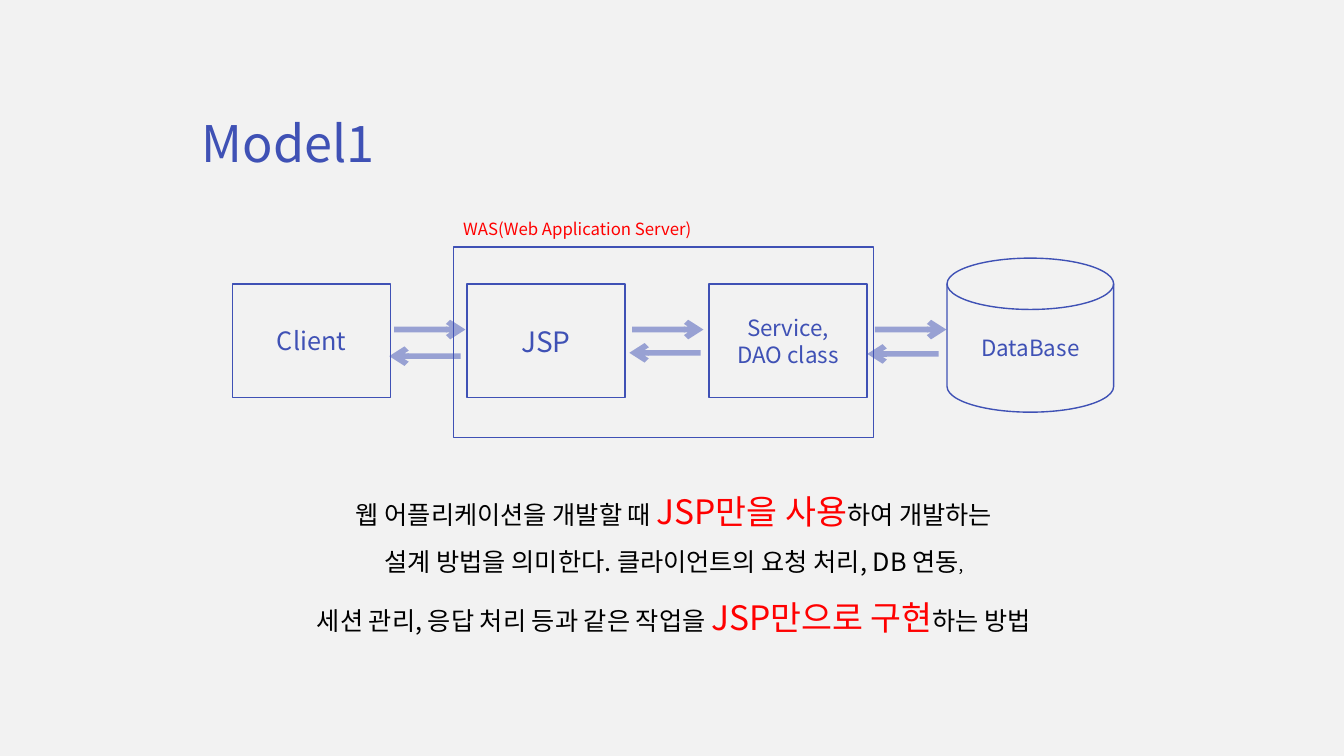
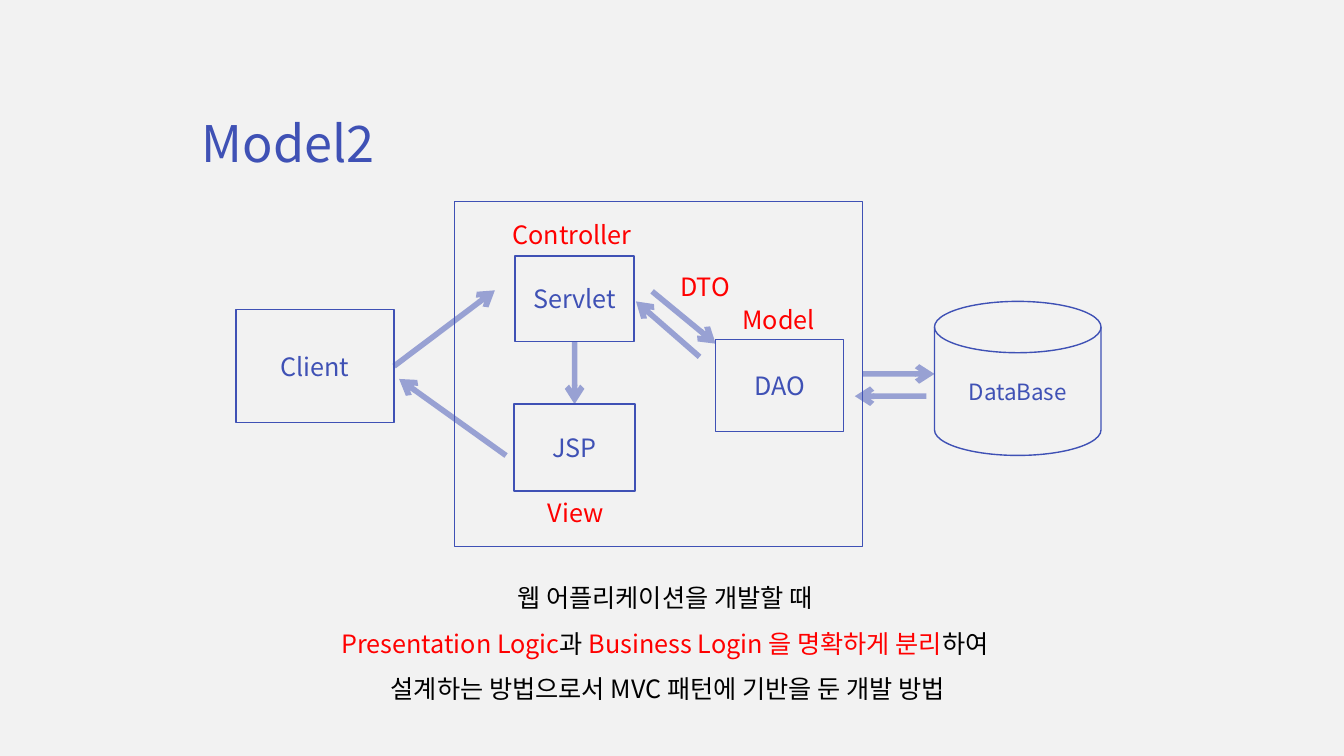
from lxml.etree import SubElement
from pptx import Presentation
from pptx.dml.color import RGBColor
from pptx.enum.shapes import MSO_CONNECTOR as Link, MSO_SHAPE as Kind
from pptx.enum.text import MSO_ANCHOR as Anchor, MSO_AUTO_SIZE as Fit, PP_ALIGN as Align
from pptx.oxml import parse_xml
from pptx.oxml.ns import nsdecls, qn
from pptx.util import Pt

FACE = "Noto Sans CJK KR"
BLUE, RED, BLACK, GRAY = "3F51B5", "FF0000", "000000", "F2F2F2"


def tint(color, code):
    color.rgb = RGBColor.from_string(code)


def style(font, size, code):
    font.name = FACE
    font.size = Pt(size)
    tint(font.color, code)


def write(frame, lines, align=Align.CENTER):
    for i, runs in enumerate(lines):
        para = frame.paragraphs[0] if i == 0 else frame.add_paragraph()
        para.alignment = align
        same = len({run[1:] for run in runs}) == 1
        if same:
            style(para.font, *runs[0][1:])
        for text, size, code in runs:
            run = para.add_run()
            run.text = text
            if not same:
                style(run.font, size, code)


def place(shape, x, y, w, h):
    shape.left, shape.top, shape.width, shape.height = map(Pt, (x, y, w, h))


def title(slide, text):
    head = slide.shapes.title
    place(head, 136.8, 76.3, 400, 51)
    head.text_frame.auto_size = Fit.NONE
    head.text_frame.vertical_anchor = Anchor.MIDDLE
    write(head.text_frame, [[(text, 36, BLUE)]], Align.LEFT)


def body(slide, x, y, w, h, lines):
    box = slide.placeholders[1]
    place(box, x, y, w, h)
    frame = box.text_frame
    frame.auto_size = Fit.NONE
    frame.vertical_anchor = Anchor.TOP
    write(frame, lines)
    for para in frame.paragraphs:
        para.line_spacing = 1.5
        para.space_before = Pt(0)
    for props in box.element.iter(qn("a:pPr")):
        props.set("marL", "0")
        props.set("indent", "0")
        none = parse_xml(f"<a:buNone {nsdecls('a')}/>")
        props.insert_element_before(none, "a:tabLst", "a:defRPr", "a:extLst")


class Chart:
    def __init__(self, slide, x, y):
        self.shapes, self.x, self.y = slide.shapes, x, y

    def node(self, x, y, w, h, text="", size=18, kind=Kind.RECTANGLE):
        box = self.shapes.add_shape(kind, 0, 0, 0, 0)
        place(box, self.x + x, self.y + y, w, h)
        box.shadow.inherit = False
        box.fill.background()
        box.line.width = Pt(1)
        tint(box.line.color, BLUE)
        frame = box.text_frame
        frame.word_wrap = True
        frame.margin_left = frame.margin_right = Pt(0)
        frame.vertical_anchor = Anchor.MIDDLE
        if text:
            write(frame, [[(line, size, BLUE)] for line in text.split("\n")])
        return box

    def disk(self, x, y):
        self.node(x, y, 119, 110, "DataBase", 16, Kind.FLOWCHART_MAGNETIC_DISK)

    def label(self, x, y, text, size=18):
        box = self.shapes.add_textbox(0, 0, 0, 0)
        place(box, self.x + x - 100, self.y + y - 14, 200, 28)
        frame = box.text_frame
        frame.word_wrap = True
        frame.vertical_anchor = Anchor.MIDDLE
        write(frame, [[(text, size, RED)]])

    def arrow(self, x1, y1, x2, y2, start=None, end=None):
        ends = Pt(self.x + x1), Pt(self.y + y1), Pt(self.x + x2), Pt(self.y + y2)
        wire = self.shapes.add_connector(Link.STRAIGHT, *ends)
        if start:
            wire.begin_connect(*start)
        if end:
            wire.end_connect(*end)
        wire.line.width = Pt(4)
        tint(wire.line.color, BLUE)
        props = wire.element.spPr
        line = props.find(qn("a:ln"))
        SubElement(next(line.iter(qn("a:srgbClr"))), qn("a:alpha"), val="50000")
        SubElement(line, qn("a:tailEnd"), type="arrow")
        SubElement(props, qn("a:effectLst"))


def first(slide, x, y):
    chart = Chart(slide, x, y)
    chart.node(158, 0, 300, 136)
    chart.label(246.5, -13.3, "WAS(Web Application Server)", 12)
    for left, text, size in ((0, "Client", 18), (167.5, "JSP", 20), (340.5, "Service,\nDAO class", 16)):
        chart.node(left, 26.6, 113, 81, text, size)
    chart.disk(510.5, 8)
    for left in (115.5, 285.5, 459):
        chart.arrow(left, 59, left + 51, 59)
    for left, top in ((112, 78), (283.5, 75.6), (453.5, 76.4)):
        chart.arrow(left + 51, top, left, top)


def second(slide, x, y):
    chart = Chart(slide, x, y)
    frame = chart.node(156.2, 0, 291.6, 246.2)
    client = chart.node(0, 77, 113, 81, "Client")
    servlet = chart.node(199.4, 39, 85, 61, "Servlet")
    page = chart.node(198.7, 144.7, 86.4, 62, "JSP")
    chart.node(342.7, 98.6, 91.4, 65.5, "DAO")
    chart.disk(499, 71.3)
    for spot in ((240, 23.8, "Controller"), (242.6, 221.8, "View"),
                 (387.7, 84.2, "Model"), (335.1, 60.5, "DTO")):
        chart.label(*spot)
    chart.arrow(113, 117.5, 185, 63.4, start=(client, 3))
    chart.arrow(193, 181.4, 116.6, 126.7)
    chart.arrow(241.9, 100, 241.9, 144.7, start=(servlet, 2), end=(page, 0))
    chart.arrow(297.3, 64.1, 342.7, 101.5)
    chart.arrow(331.2, 110.9, 285.8, 71.3)
    chart.arrow(447.8, 123.1, 499, 123.1, start=(frame, 3))
    chart.arrow(493.2, 139, 442.1, 139)


def main():
    deck = Presentation()
    deck.slide_width, deck.slide_height = Pt(960), Pt(540)
    fill = deck.slide_master.background.fill
    fill.solid()
    tint(fill.fore_color, GRAY)

    pages = (
        ("Model1", first, (166, 176.4), (103, 332.6, 756.7, 124), [
            [("웹 어플리케이션을 개발할 때 ", 18, BLACK), ("JSP만을 사용", 24, RED), ("하여 개발하는", 18, BLACK)],
            [("설계 방법을 의미한다. 클라이언트의 요청 처리, DB 연동", 18, BLACK), (",", 12, BLACK)],
            [("세션 관리, 응답 처리 등과 같은 작업을 ", 18, BLACK), ("JSP만으로 구현", 24, RED), ("하는 방법", 18, BLACK)],
        ]),
        ("Model2", second, (168.5, 144), (98.6, 401.8, 756.7, 103), [
            [("웹 어플리케이션을 개발할 때 ", 18, BLACK)],
            [("Presentation Logic", 18, RED), ("과 ", 18, BLACK),
             ("Business Login 을 명확하게 분리", 18, RED), ("하여 ", 18, BLACK)],
            [("설계하는 방법으로서 MVC 패턴에 기반을 둔 개발 방법", 18, BLACK)],
        ]),
    )
    for name, draw, spot, area, lines in pages:
        slide = deck.slides.add_slide(deck.slide_layouts[1])
        title(slide, name)
        draw(slide, *spot)
        body(slide, *area, lines)
        for latin in list(slide.element.iter(qn("a:latin"))):
            latin.addnext(parse_xml(f'<a:ea {nsdecls("a")} typeface="{FACE}"/>'))
    deck.save("out.pptx")


if __name__ == "__main__":
    main()
